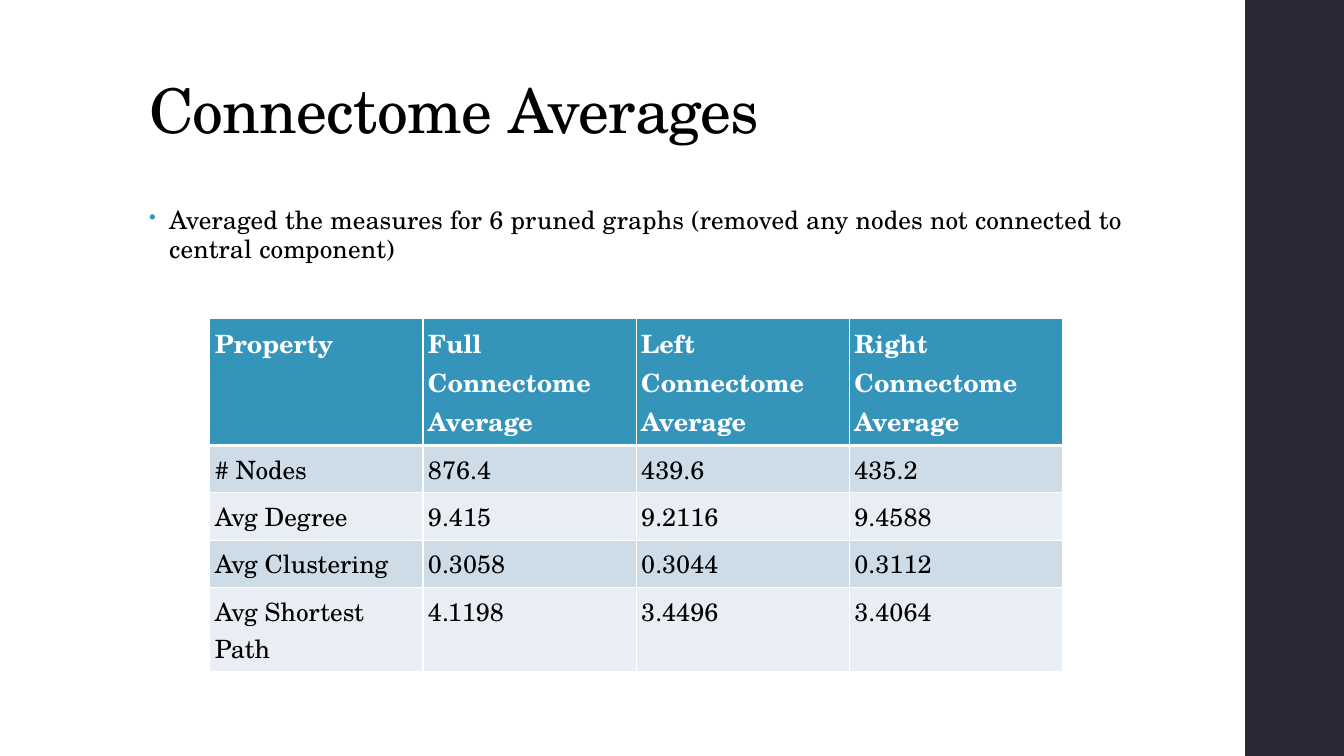
from lxml import etree
from pptx import Presentation
from pptx.dml.color import RGBColor
from pptx.enum.shapes import MSO_SHAPE
from pptx.enum.text import MSO_ANCHOR, PP_ALIGN
from pptx.oxml.ns import qn
from pptx.util import Inches, Pt

RECTANGLE = MSO_SHAPE.RECTANGLE
MIDDLE, TOP = MSO_ANCHOR.MIDDLE, MSO_ANCHOR.TOP
LEFT = PP_ALIGN.LEFT
FONT = "TeX Gyre Schola"
WHITE, BLACK, TEAL, DARK = "FFFFFF", "000000", "3494BA", "292834"
BANDS = ("CEDCE7", "E8EEF3")
WIDTH, HEIGHT = 13.33, 7.5
ROW_HEIGHTS = (1.26, 0.47, 0.47, 0.47, 0.83)
AVERAGES = [
    ("Property", "Full Connectome Average", "Left Connectome Average", "Right Connectome Average"),
    ("# Nodes", "876.4", "439.6", "435.2"),
    ("Avg Degree", "9.415", "9.2116", "9.4588"),
    ("Avg Clustering", "0.3058", "0.3044", "0.3112"),
    ("Avg Shortest Path", "4.1198", "3.4496", "3.4064"),
]


def color(value):
    """Turn a hex string into a color."""
    return RGBColor.from_string(value)


def format_text(text_frame, size, ink, bold=False):
    """Format every run of a text frame."""
    for paragraph in text_frame.paragraphs:
        paragraph.alignment = LEFT
        for run in paragraph.runs:
            run.font.name = FONT
            run.font.size = Pt(size)
            run.font.bold = bold
            run.font.color.rgb = color(ink)


def add_text(slide, box, text, size, anchor, line_spacing, tracking):
    """Add a wrapped text box with one paragraph and return that paragraph."""
    shape = slide.shapes.add_textbox(*map(Inches, box))
    text_frame = shape.text_frame
    text_frame.word_wrap = True
    text_frame.vertical_anchor = anchor
    text_frame.text = text
    format_text(text_frame, size, BLACK)
    for properties in shape.element.iter(qn("a:rPr")):
        properties.set("spc", str(round(tracking * 100)))
    paragraph = text_frame.paragraphs[0]
    paragraph.line_spacing = line_spacing
    return paragraph


def add_sidebar(slide, box):
    """Fill the box with the dark side band."""
    shape = slide.shapes.add_shape(RECTANGLE, *map(Inches, box))
    shape.shadow.inherit = False
    shape.fill.solid()
    shape.fill.fore_color.rgb = color(DARK)
    shape.line.fill.background()


def add_bullet(slide, box, text):
    """Add a bulleted paragraph with a hanging indent."""
    paragraph = add_text(slide, box, text, 18, TOP, 0.95, 0.1)
    paragraph.space_after = Pt(2)
    properties = paragraph._p.get_or_add_pPr()
    properties.set("marL", str(Inches(0.2)))
    properties.set("indent", str(-Inches(0.2)))
    bullet_color = etree.SubElement(properties, qn("a:buClr"))
    etree.SubElement(bullet_color, qn("a:srgbClr"), val=TEAL)
    etree.SubElement(properties, qn("a:buSzPct"), val="80000")
    etree.SubElement(properties, qn("a:buChar"), char="•")


def set_borders(cell, top_width, bottom_width):
    """Draw white borders around a cell."""
    properties = cell._tc.get_or_add_tcPr()
    widths = {"a:lnL": 1, "a:lnR": 1, "a:lnT": top_width, "a:lnB": bottom_width}
    for position, (side, width) in enumerate(widths.items()):
        line = etree.Element(qn(side), w=str(Pt(width)))
        fill = etree.SubElement(line, qn("a:solidFill"))
        etree.SubElement(fill, qn("a:srgbClr"), val=WHITE)
        properties.insert(position, line)


def add_averages_table(slide, box, rows, heights):
    """Add the table with a teal header and banded rows."""
    table = slide.shapes.add_table(len(rows), len(rows[0]), *map(Inches, box)).table
    for row_index, (values, height) in enumerate(zip(rows, heights)):
        table.rows[row_index].height = Inches(height)
        header = row_index == 0
        fill = TEAL if header else BANDS[(row_index - 1) % 2]
        ink = WHITE if header else BLACK
        for column_index, value in enumerate(values):
            cell = table.cell(row_index, column_index)
            cell.margin_left = cell.margin_right = Inches(0.05)
            cell.margin_top = cell.margin_bottom = Inches(0.05)
            cell.fill.solid()
            cell.fill.fore_color.rgb = color(fill)
            cell.text_frame.text = value
            format_text(cell.text_frame, 18, ink, header)
            set_borders(cell, 3 if row_index == 1 else 1, 3 if header else 1)


def build_slide(presentation):
    """Lay out the averages slide."""
    slide = presentation.slides.add_slide(presentation.slide_layouts[6])
    margin = 1.38
    add_sidebar(slide, (12.35, 0, 1, HEIGHT))
    add_text(slide, (margin, 0.4, 10.6, 1.45), "Connectome Averages", 44, MIDDLE, 0.9, -0.5)
    add_averages_table(slide, (2.08, 3.16, 8.46, sum(ROW_HEIGHTS)), AVERAGES, ROW_HEIGHTS)
    add_bullet(
        slide,
        (margin, 2, 10.22, 1.16),
        "Averaged the measures for 6 pruned graphs "
        "(removed any nodes not connected to central component)",
    )


def main():
    """Create and save the presentation."""
    presentation = Presentation()
    presentation.slide_width = Inches(WIDTH)
    presentation.slide_height = Inches(HEIGHT)
    build_slide(presentation)
    presentation.save("out.pptx")


if __name__ == "__main__":
    main()
